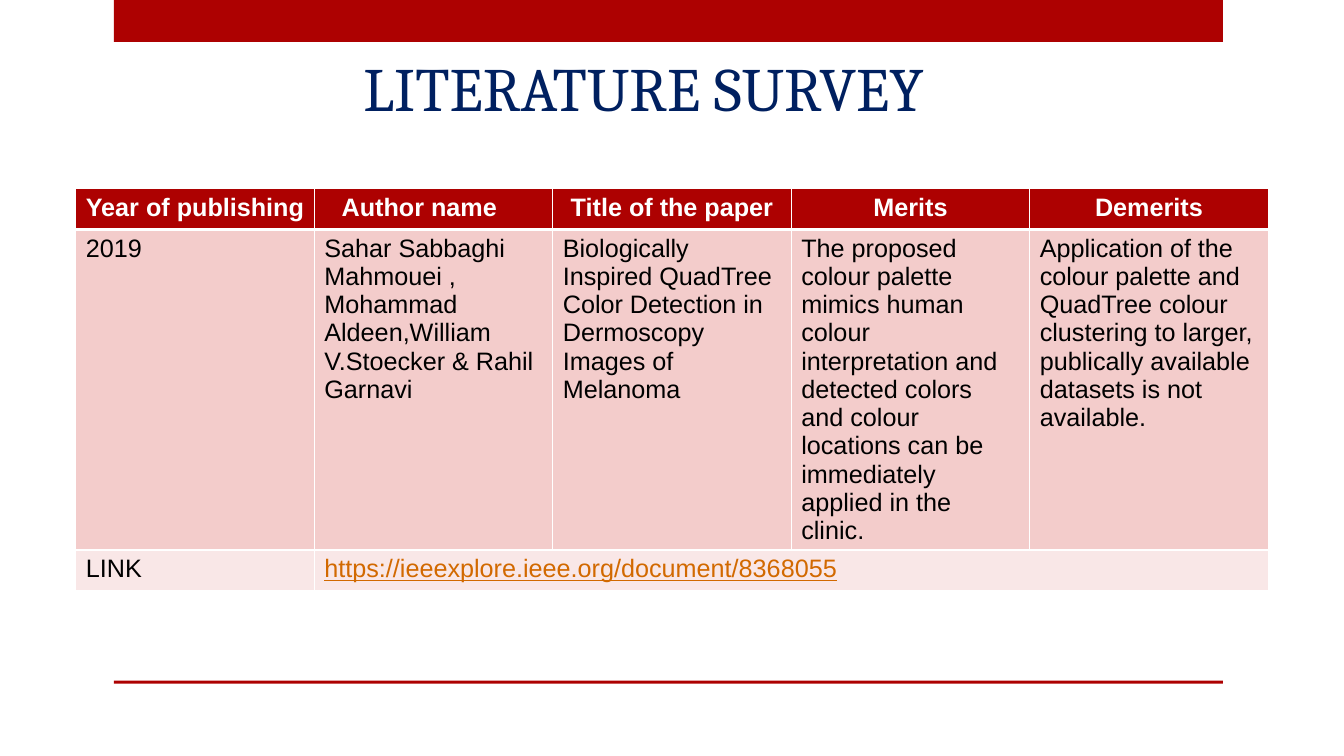
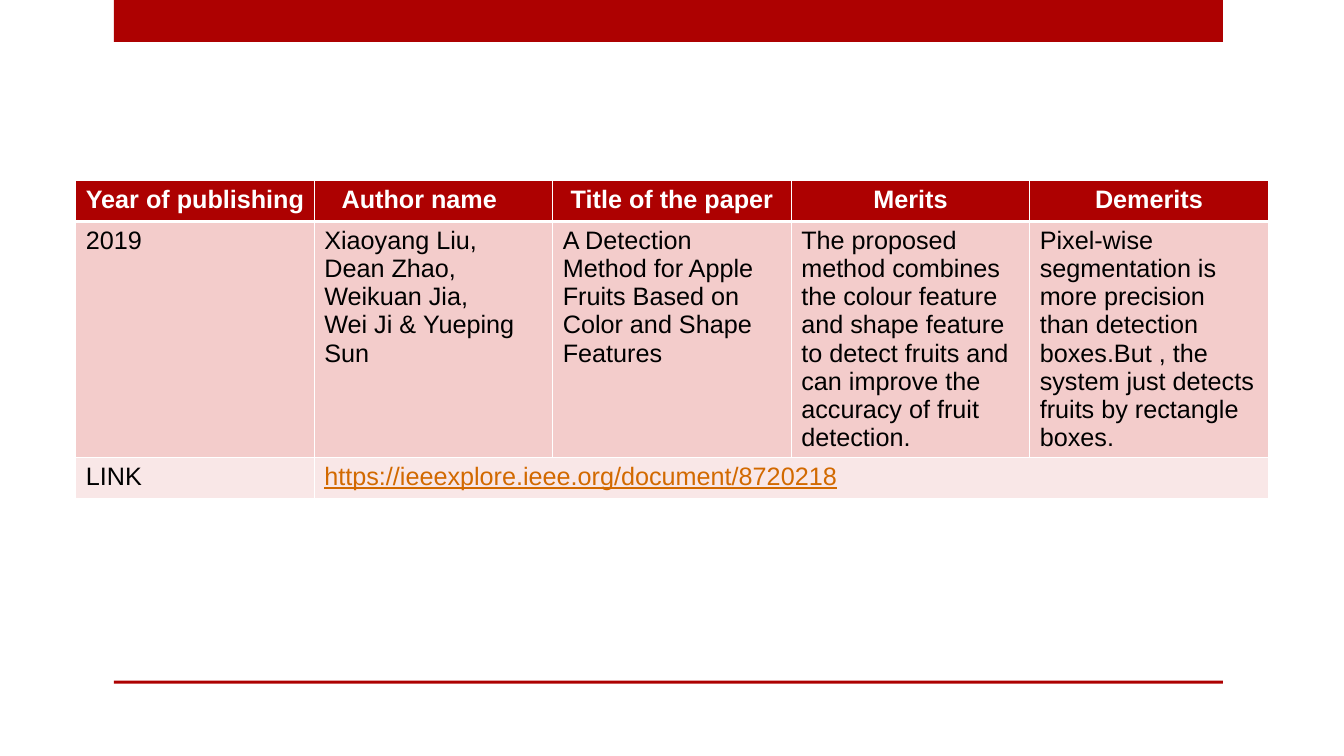
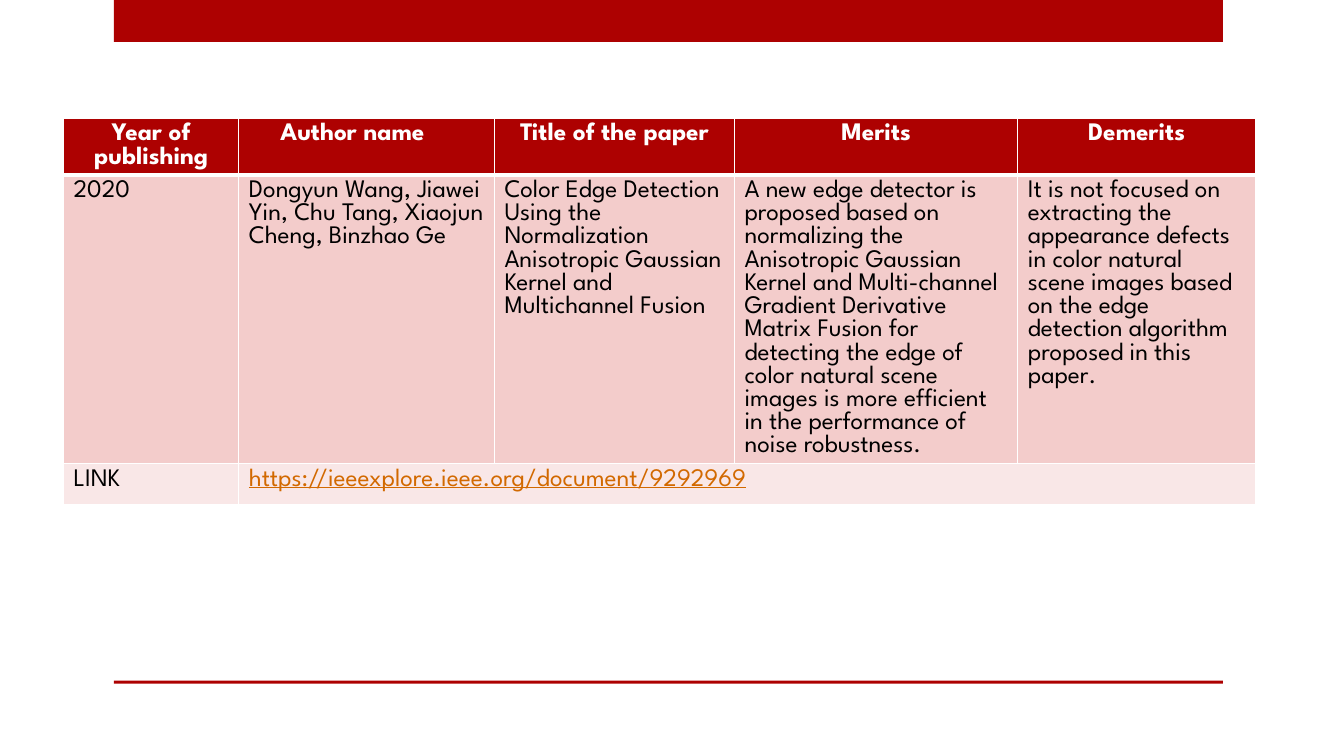
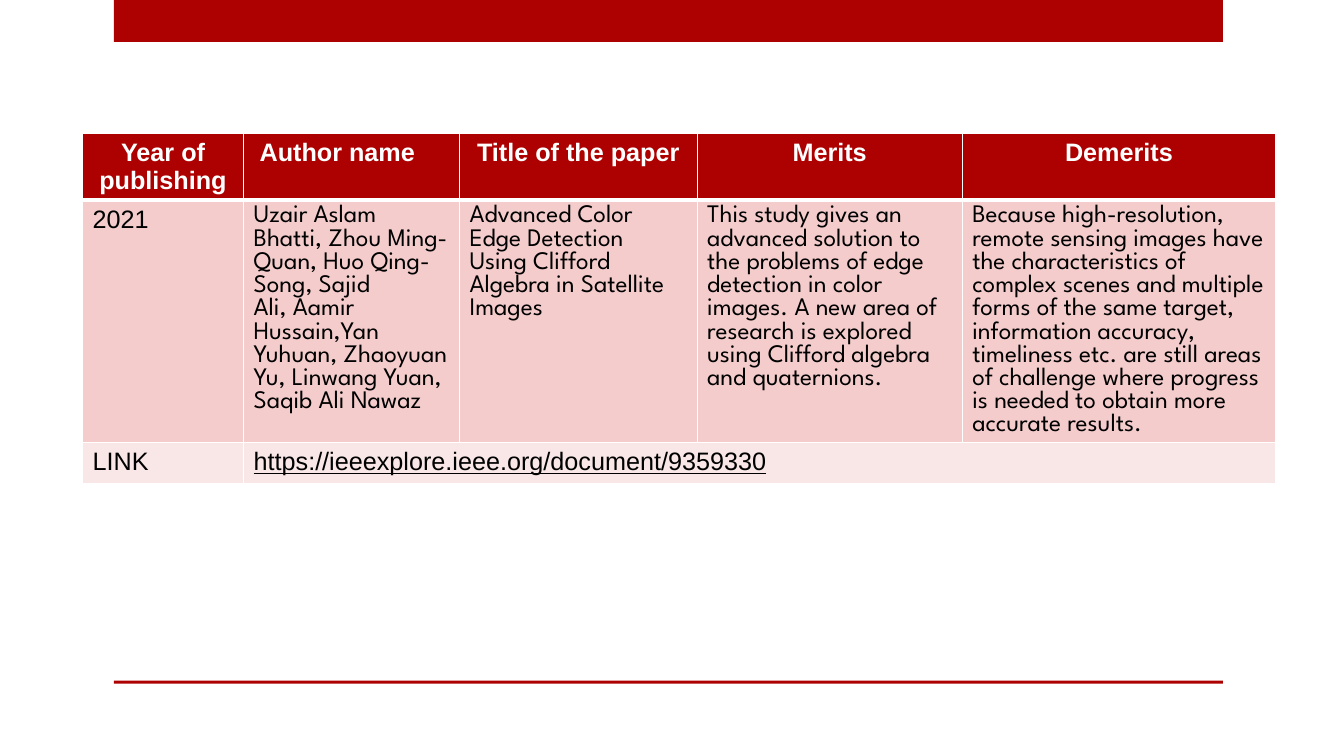
"""Build the four literature survey slides and save the deck."""
from dataclasses import dataclass

import pptx
import pptx.dml.color
import pptx.enum.shapes
import pptx.enum.text
import pptx.oxml
import pptx.oxml.ns
import pptx.presentation
import pptx.slide
import pptx.table
import pptx.util
from pptx.util import Cm

COLORS = {
    "red": "AD0101",
    "navy": "002060",
    "white": "FFFFFF",
    "black": "000000",
    "rose": "F3CCCB",
    "blush": "F9E7E7",
    "link": "D26900",
}
ARIAL = "Arial"
SPARTAN = "League Spartan"
NBSP = chr(160)
HEADINGS = ("Year of publishing", "Author name", "Title of the paper", "Merits", "Demerits")
EVEN_COLUMNS = (6.01,) * 5
ROW_HEIGHT = 1.03
YEAR_HEADING_MARGIN = 0.2
AUTHOR_HEADING_MARGIN = 0.97
THIN, THICK = 1, 3


@dataclass(frozen=True)
class Band:
    """A full-width red strip, in centimetres."""
    top: float
    height: float


@dataclass(frozen=True)
class Paper:
    """One surveyed paper and the layout of its table, in centimetres."""
    left: float
    top: float
    columns: tuple[float, ...]
    heading_height: float
    body_height: float
    texts: tuple[str, ...]
    link: str
    title: str = ""
    font: str = ARIAL
    text_font: str = ARIAL
    link_color: str = "link"


@dataclass(frozen=True)
class CellStyle:
    """The look of one table cell."""
    fill: str
    font: str
    color: str = "black"
    bold: bool = False
    underline: bool = False
    centered: bool = False
    top_line: int = THIN
    bottom_line: int = THIN


BANDS = (Band(0, 1.06), Band(17.15, 0.08))

PAPERS = (
    Paper(
        left=1.91, top=4.75, columns=EVEN_COLUMNS, heading_height=ROW_HEIGHT, body_height=8.08,
        title="LITERATURE SURVEY",
        texts=(
            "2019",
            "Sahar Sabbaghi Mahmouei , Mohammad Aldeen,William V.Stoecker & Rahil Garnavi",
            "Biologically Inspired QuadTree Color Detection in Dermoscopy Images of Melanoma",
            "The proposed colour palette mimics human colour interpretation and detected colors "
            "and colour locations can be immediately applied in the clinic.",
            "Application of the colour palette and QuadTree colour clustering to larger, "
            "publically available datasets is not available.",
        ),
        link="https://ieeexplore.ieee.org/document/8368055",
    ),
    Paper(
        left=1.91, top=4.55, columns=EVEN_COLUMNS, heading_height=ROW_HEIGHT, body_height=5.94,
        texts=(
            "2019",
            f"Xiaoyang Liu, Dean Zhao,\nWeikuan Jia,\nWei Ji &{NBSP}Yueping Sun",
            "A Detection Method for Apple Fruits Based on Color and Shape Features",
            "The proposed method combines the colour feature and shape feature to detect fruits "
            "and can improve the accuracy of fruit detection.",
            "Pixel-wise segmentation is more precision than detection boxes.But , the system "
            "just detects fruits by rectangle boxes.",
        ),
        link="https://ieeexplore.ieee.org/document/8720218",
    ),
    Paper(
        left=1.6, top=2.98, columns=(4.42, 6.44, 6.05, 7.14, 5.99),
        heading_height=1.41, body_height=7.26, font=SPARTAN, text_font=SPARTAN,
        texts=(
            "2020",
            f"Dongyun Wang, Jiawei Yin,{NBSP}Chu Tang,{NBSP}Xiaojun Cheng,{NBSP}Binzhao Ge",
            "Color Edge Detection Using the Normalization Anisotropic Gaussian Kernel and "
            "Multichannel Fusion",
            "A new edge detector is proposed based on normalizing the Anisotropic Gaussian Kernel "
            "and Multi-channel Gradient Derivative Matrix Fusion for detecting the edge of color "
            "natural scene images is more efficient in the performance of noise robustness.",
            "It is not focused on extracting the appearance defects in color natural scene images "
            "based on the edge detection algorithm proposed in this paper.",
        ),
        link="https://ieeexplore.ieee.org/document/9292969",
    ),
    Paper(
        left=2.08, top=3.37, columns=(4.06, 5.44, 5.99, 6.68, 7.9),
        heading_height=1.65, body_height=6.1, text_font=SPARTAN, link_color="black",
        texts=(
            "2021",
            f"Uzair Aslam Bhatti,{NBSP}Zhou Ming-Quan,{NBSP}Huo Qing-Song,{NBSP}Sajid "
            f"Ali,{NBSP}Aamir Hussain,Yan Yuhuan,{NBSP}Zhaoyuan Yu, Linwang Yuan, "
            "Saqib Ali Nawaz",
            "Advanced Color Edge Detection Using Clifford Algebra in Satellite Images",
            "This study gives an advanced solution to the problems of edge detection in color "
            "images. A new area of research is explored using Clifford algebra and quaternions.",
            "Because high-resolution, remote sensing images have the characteristics of complex "
            "scenes and multiple forms of the same target, information accuracy, timeliness etc. "
            "are still areas of challenge where progress is needed to obtain more accurate results.",
        ),
        link="https://ieeexplore.ieee.org/document/9359330",
    ),
)


def rgb(name: str) -> pptx.dml.color.RGBColor:
    """Look up a colour by name."""
    return pptx.dml.color.RGBColor.from_string(COLORS[name])


def add_master_bands(deck: pptx.presentation.Presentation, page: pptx.slide.Slide) -> None:
    """Draw the red bands and move them to the slide master."""
    for band in BANDS:
        shape = page.shapes.add_shape(
            pptx.enum.shapes.MSO_SHAPE.RECTANGLE, Cm(2.87), Cm(band.top), Cm(27.95), Cm(band.height)
        )
        shape.shadow.inherit = False
        shape.fill.solid()
        shape.fill.fore_color.rgb = rgb("red")
        shape.line.fill.background()
        deck.slide_master.element.cSld.spTree.append(shape.element)


def write_title(page: pptx.slide.Slide, text: str) -> None:
    """Place and format the title placeholder."""
    box = page.shapes.title
    box.left, box.top, box.width, box.height = Cm(4.26), Cm(0.51), Cm(23.93), Cm(3.58)
    frame = box.text_frame
    frame.text = text
    frame.word_wrap = True
    frame.auto_size = pptx.enum.text.MSO_AUTO_SIZE.NONE
    frame.vertical_anchor = pptx.enum.text.MSO_ANCHOR.MIDDLE
    para = frame.paragraphs[0]
    para.alignment = pptx.enum.text.PP_ALIGN.CENTER
    para.line_spacing = 0.9
    para.font.name = "Cambria"
    para.font.size = pptx.util.Pt(44)
    para.font.color.rgb = rgb("navy")


def style_cell(cell: pptx.table._Cell, style: CellStyle) -> None:
    """Apply fill, borders and fonts to a cell."""
    cell.fill.solid()
    cell.fill.fore_color.rgb = rgb(style.fill)
    properties = cell._tc.get_or_add_tcPr()
    lines = (("L", THIN), ("R", THIN), ("T", style.top_line), ("B", style.bottom_line))
    for index, (side, points) in enumerate(lines):
        properties.insert(index, pptx.oxml.parse_xml(
            f'<a:ln{side} {pptx.oxml.ns.nsdecls("a")} w="{pptx.util.Pt(points)}"><a:solidFill>'
            f'<a:srgbClr val="{COLORS["white"]}"/></a:solidFill></a:ln{side}>'
        ))
    for para in cell.text_frame.paragraphs:
        if style.centered:
            para.alignment = pptx.enum.text.PP_ALIGN.CENTER
        para.font.name = style.font
        para.font.size = pptx.util.Pt(18)
        para.font.bold = style.bold
        para.font.underline = style.underline
        para.font.color.rgb = rgb(style.color)


def add_paper_table(page: pptx.slide.Slide, paper: Paper) -> None:
    """Add the table that describes one paper."""
    heights = (paper.heading_height, paper.body_height, ROW_HEIGHT)
    table = page.shapes.add_table(
        len(heights), len(HEADINGS), Cm(paper.left), Cm(paper.top),
        Cm(sum(paper.columns)), Cm(sum(heights)),
    ).table
    table.horz_banding = False
    for column, width in zip(table.columns, paper.columns):
        column.width = Cm(width)
    for row, height in zip(table.rows, heights):
        row.height = Cm(height)
    table.cell(2, 1).merge(table.cell(2, len(HEADINGS) - 1))

    heading = CellStyle("red", paper.font, "white", bold=True, centered=True, bottom_line=THICK)
    link = CellStyle("blush", paper.font, paper.link_color, underline=True)
    for index, (label, text) in enumerate(zip(HEADINGS, paper.texts)):
        font = paper.text_font if index else paper.font
        footer = ("LINK", paper.link)[index] if index < 2 else ""
        entries = (
            (label, heading),
            (text, CellStyle("rose", font, top_line=THICK)),
            (footer, link if index else CellStyle("blush", paper.font)),
        )
        for row, (content, style) in enumerate(entries):
            cell = table.cell(row, index)
            if content:
                cell.text = content
            style_cell(cell, style)
    year_heading = table.cell(0, 0)
    year_heading.margin_left = year_heading.margin_right = Cm(YEAR_HEADING_MARGIN)
    table.cell(0, 1).margin_right = Cm(AUTHOR_HEADING_MARGIN)


def main() -> None:
    """Build and save the deck."""
    deck = pptx.Presentation()
    deck.slide_width, deck.slide_height = Cm(33.87), Cm(19.05)
    title_layout, blank_layout = deck.slide_layouts[5], deck.slide_layouts[6]
    for paper in PAPERS:
        page = deck.slides.add_slide(title_layout if paper.title else blank_layout)
        add_paper_table(page, paper)
        if paper.title:
            write_title(page, paper.title)
    add_master_bands(deck, deck.slides[0])
    deck.save("out.pptx")


if __name__ == "__main__":
    main()
